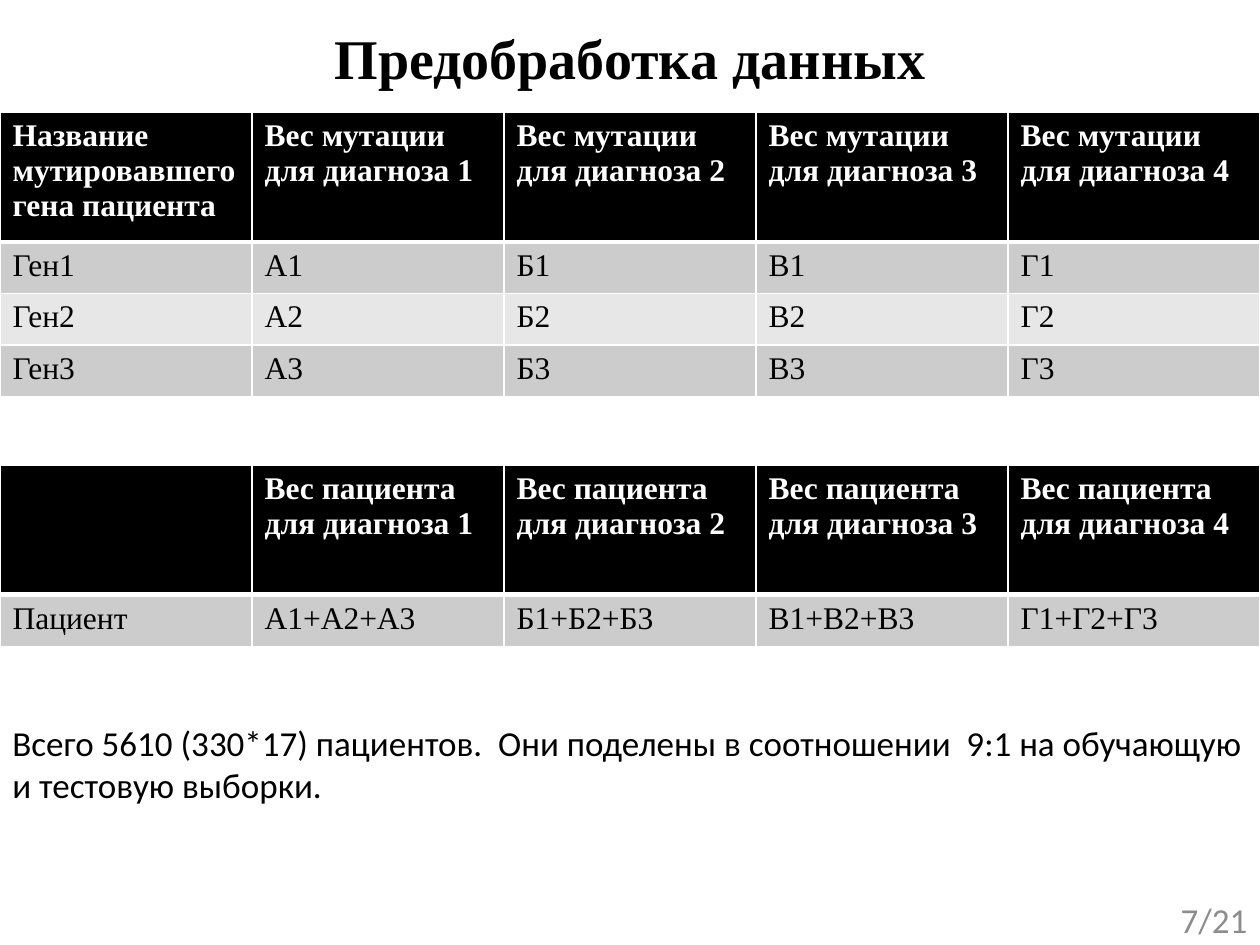
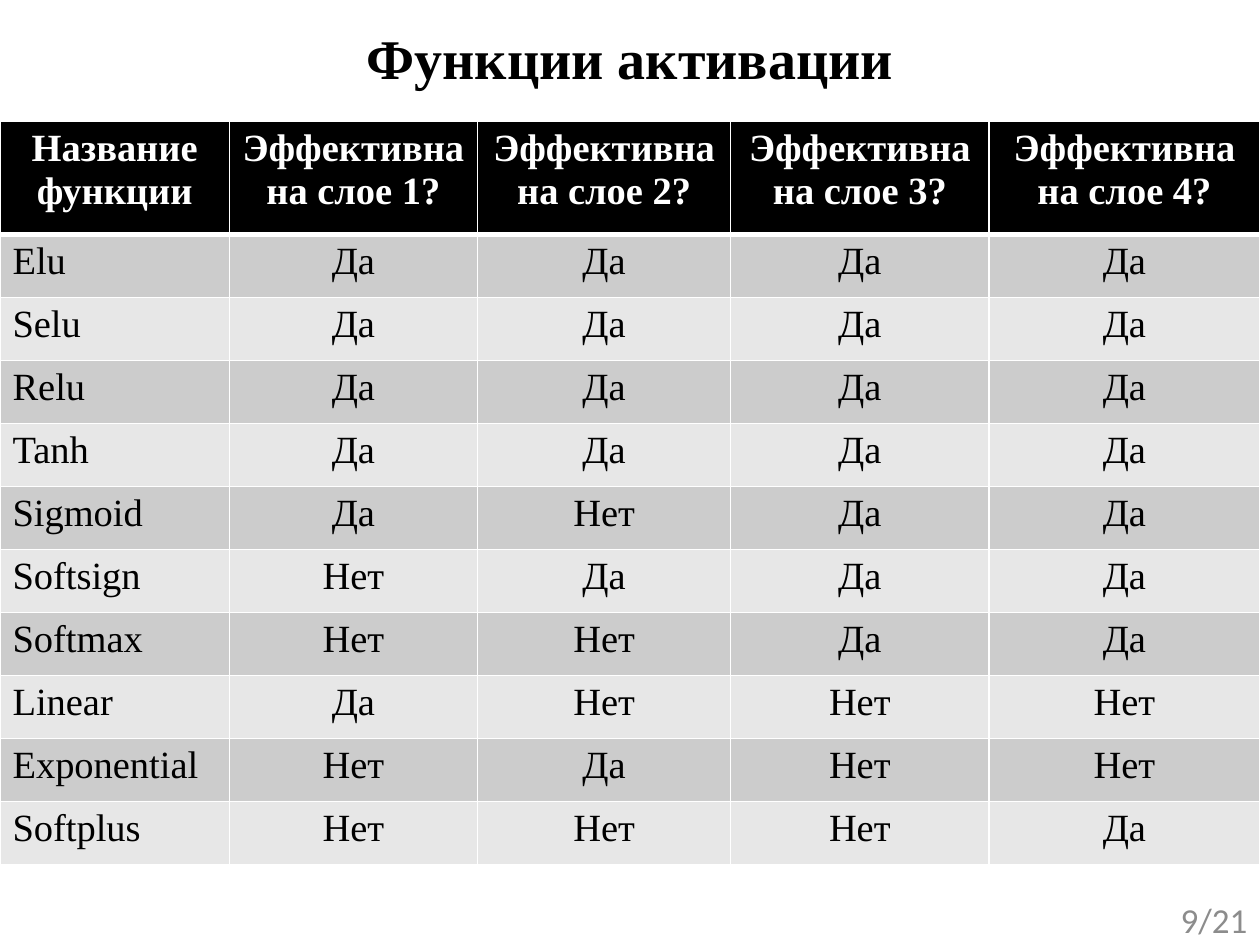
"""Build two slides of tables on data preprocessing and activation functions."""
from lxml import etree
from pptx import Presentation
from pptx import util as u
from pptx.dml.color import RGBColor
from pptx.enum import text
from pptx.oxml import ns

BLACK = RGBColor(0x00, 0x00, 0x00)
WHITE = RGBColor(0xFF, 0xFF, 0xFF)
GREY = RGBColor(0x8C, 0x8C, 0x8C)
BANDS = (RGBColor(0xCC, 0xCC, 0xCC), RGBColor(0xE7, 0xE7, 0xE7))
SERIF = "Times New Roman"
SANS = "Calibri"
LEFT, CENTER, RIGHT = text.PP_ALIGN.LEFT, text.PP_ALIGN.CENTER, text.PP_ALIGN.RIGHT
TOTAL = 21


class Deck:
    """Hold the shared style and the current slide."""

    def __init__(self):
        self.prs = Presentation()
        self.prs.slide_width = u.Inches(10)
        self.prs.slide_height = u.Inches(7.5)
        self.s = None

    def slide(self, title, number):
        """Start a slide with its title and page number."""
        self.s = self.prs.slides.add_slide(self.prs.slide_layouts[5])
        sp = self.s.shapes.title
        sp.left, sp.top = u.Inches(0.69), u.Inches(0.01)
        sp.width, sp.height = u.Inches(8.62), u.Inches(0.89)
        sp.text_frame.vertical_anchor = text.MSO_ANCHOR.MIDDLE
        self.run(sp.text_frame, title, 32, SERIF, BLACK, True, CENTER)
        tf = self.box(7.67, 7.1, 2.33, 0.4, f"{number}/{TOTAL}", GREY, RIGHT)
        tf.vertical_anchor = text.MSO_ANCHOR.MIDDLE

    def run(self, tf, words, size, font, color, bold=False, align=LEFT):
        """Put one formatted run into a text frame."""
        p = tf.paragraphs[0]
        p.alignment = align
        r = p.add_run()
        r.text = words
        r.font.size, r.font.name, r.font.bold = u.Pt(size), font, bold
        r.font.color.rgb = color

    def box(self, x, y, w, h, words, color=BLACK, align=LEFT):
        """Add a wrapped text box."""
        sp = self.s.shapes.add_textbox(*map(u.Inches, (x, y, w, h)))
        tf = sp.text_frame
        tf.word_wrap = True
        self.run(tf, words, 20, SANS, color, align=align)
        return tf

    def borders(self, cell, bottom):
        """Draw white cell borders with the given bottom width."""
        tcPr = cell._tc.get_or_add_tcPr()
        for side, width in (("L", 1), ("R", 1), ("T", 1), ("B", bottom)):
            ln = etree.SubElement(tcPr, ns.qn(f"a:ln{side}"), w=str(u.Pt(width)))
            fill = etree.SubElement(ln, ns.qn("a:solidFill"))
            etree.SubElement(fill, ns.qn("a:srgbClr"), val=str(WHITE))

    def table(self, y, widths, heights, rows, size, align=LEFT):
        """Add a full-width table with a black header and grey bands."""
        frame = self.s.shapes.add_table(
            len(rows), len(widths), 0, u.Inches(y),
            u.Inches(sum(widths)), u.Inches(sum(heights)))
        tbl = frame.table
        for col, width in zip(tbl.columns, widths):
            col.width = u.Inches(width)
        for i, (row, height) in enumerate(zip(rows, heights)):
            tbl.rows[i].height = u.Inches(height)
            head = i == 0
            for j, words in enumerate(row):
                cell = tbl.cell(i, j)
                self.borders(cell, 3 if head else 1)
                cell.fill.solid()
                cell.fill.fore_color.rgb = BLACK if head else BANDS[(i - 1) % 2]
                if words:
                    self.run(cell.text_frame, words, size, SERIF,
                             WHITE if head else BLACK, head,
                             align if head or j else LEFT)


def preprocessing(deck):
    """Show mutation weights and their sums for a patient."""
    letters, genes, diagnoses = "АБВГ", range(1, 4), range(1, 5)
    widths = [2] * 5
    deck.slide("Предобработка данных", 7)
    weights = [["Название мутировавшего гена пациента"]
               + [f"Вес мутации для диагноза {d}" for d in diagnoses]]
    weights += [[f"Ген{g}"] + [f"{c}{g}" for c in letters] for g in genes]
    deck.table(0.89, widths, [1.03] + [0.41] * 3, weights, 18)
    sums = [[""] + [f"Вес пациента для диагноза {d}" for d in diagnoses],
            ["Пациент"] + ["+".join(f"{c}{g}" for g in genes) for c in letters]]
    deck.table(3.69, widths, [1.03, 0.41], sums, 18)
    deck.box(0, 5.68, 10, 0.77,
             "Всего 5610 (330*17) пациентов.  Они поделены в соотношении  "
             "9:1 на обучающую и тестовую выборки.")


def activations(deck):
    """Show which activation functions work on which layer."""
    results = (
        "Elu Да Да Да Да",
        "Selu Да Да Да Да",
        "Relu Да Да Да Да",
        "Tanh Да Да Да Да",
        "Sigmoid Да Нет Да Да",
        "Softsign Нет Да Да Да",
        "Softmax Нет Нет Да Да",
        "Linear Да Нет Нет Нет",
        "Exponential Нет Да Нет Нет",
        "Softplus Нет Нет Нет Да",
    )
    deck.slide("Функции активации", 9)
    head = ["Название функции"] + [f"Эффективна на слое {n}?" for n in range(1, 5)]
    deck.table(0.96, [1.82, 1.97, 2.01, 2.05, 2.15], [0.9] + [0.5] * len(results),
               [head] + [line.split() for line in results], 22, CENTER)


def main():
    """Build and save the presentation."""
    deck = Deck()
    preprocessing(deck)
    activations(deck)
    deck.prs.save("out.pptx")


if __name__ == "__main__":
    main()
